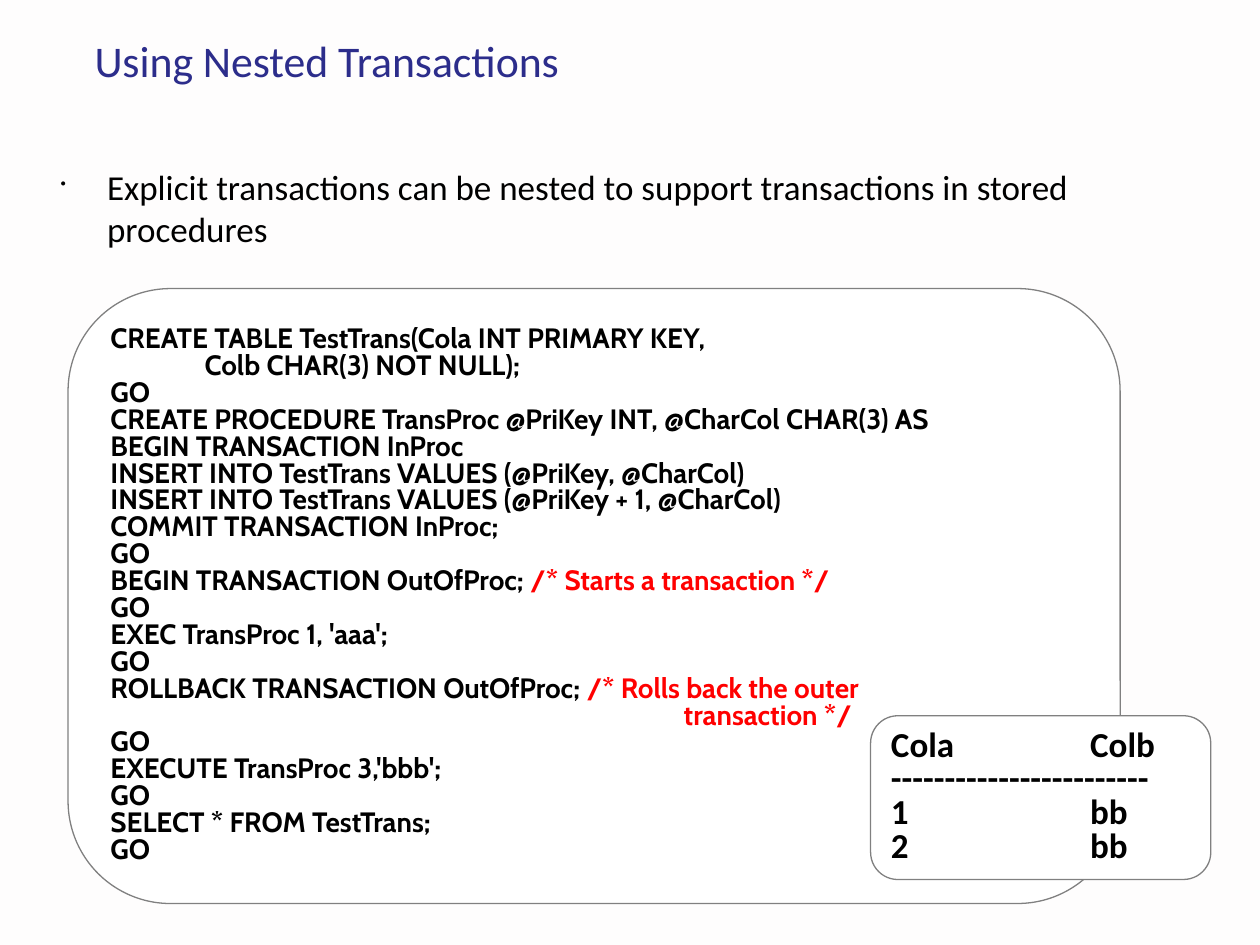
from pptx import Presentation
from pptx.dml.color import RGBColor
from pptx.enum.shapes import MSO_SHAPE as Shape
from pptx.enum.text import MSO_ANCHOR as Anchor, PP_ALIGN as Align
from pptx.oxml.xmlchemy import OxmlElement
from pptx.util import Pt

COLORS = {
    "background": "FEFDFD",
    "title": "2C2D8B",
    "text": "000000",
    "comment": "FF0000",
    "panel": "FFFFFF",
    "outline": "808080",
}

# Each line holds its code and its comment.
CODE_LINES = [
    ("CREATE TABLE TestTrans(Cola INT PRIMARY KEY,", ""),
    ("               Colb CHAR(3) NOT NULL);", ""),
    ("GO", ""),
    ("CREATE PROCEDURE TransProc @PriKey INT, @CharCol CHAR(3) AS", ""),
    ("BEGIN TRANSACTION InProc", ""),
    ("INSERT INTO TestTrans VALUES (@PriKey, @CharCol)", ""),
    ("INSERT INTO TestTrans VALUES (@PriKey + 1, @CharCol)", ""),
    ("COMMIT TRANSACTION InProc;", ""),
    ("GO", ""),
    ("BEGIN TRANSACTION OutOfProc; ", "/* Starts a transaction */"),
    ("GO", ""),
    ("EXEC TransProc 1, 'aaa';", ""),
    ("GO", ""),
    ("ROLLBACK TRANSACTION OutOfProc; ", "/* Rolls back the outer"),
    ("", "\t transaction */"),
    ("GO", ""),
    ("EXECUTE TransProc 3,'bbb';", ""),
    ("GO", ""),
    ("SELECT * FROM TestTrans;", ""),
    ("GO", ""),
]
RESULT_LINES = [
    (line, "") for line in ("Cola\tColb", "-" * 24, "1\tbb", "2\tbb")
]


def color(name):
    return RGBColor.from_string(COLORS[name])


def set_font(paragraph, name, size, color_name, bold=False):
    font = paragraph.font
    font.name = name
    font.size = Pt(size)
    font.bold = bold
    font.color.rgb = color(color_name)


def add_element(parent, tag, **attributes):
    element = OxmlElement(tag)
    for key, value in attributes.items():
        element.set(key, str(value))
    parent.append(element)
    return element


def add_tab_stop(paragraph, position):
    tabs = add_element(paragraph._p.get_or_add_pPr(), "a:tabLst")
    add_element(tabs, "a:tab", pos=Pt(position), algn="l")


def add_bullet(paragraph, indent, percent):
    properties = paragraph._p.get_or_add_pPr()
    properties.set("marL", str(Pt(indent)))
    properties.set("indent", str(-Pt(indent)))
    add_element(properties, "a:buSzPct", val=percent * 1000)
    add_element(properties, "a:buChar", char="•")


def add_text(slide, box, text):
    """Add a text box without margins and return its paragraph."""
    frame = slide.shapes.add_textbox(*map(Pt, box)).text_frame
    frame.word_wrap = True
    frame.margin_left = frame.margin_right = Pt(0)
    frame.margin_top = frame.margin_bottom = Pt(0)
    paragraph = frame.paragraphs[0]
    paragraph.text = text
    return paragraph


def add_panel(slide, box, lines, font_name, size, tab_stop):
    """Add a rounded panel of bold lines, with comments in their own colour."""
    panel = slide.shapes.add_shape(Shape.ROUNDED_RECTANGLE, *map(Pt, box))
    panel.shadow.inherit = False
    panel.fill.solid()
    panel.fill.fore_color.rgb = color("panel")
    panel.line.color.rgb = color("outline")
    panel.line.width = Pt(0.75)
    frame = panel.text_frame
    frame.word_wrap = True
    frame.vertical_anchor = Anchor.MIDDLE
    for index, (code, comment) in enumerate(lines):
        paragraph = frame.add_paragraph() if index else frame.paragraphs[0]
        paragraph.alignment = Align.LEFT
        paragraph.line_spacing = 0.8
        add_tab_stop(paragraph, tab_stop)
        set_font(paragraph, font_name, size, "text", bold=True)
        if code:
            paragraph.add_run().text = code
        if comment:
            run = paragraph.add_run()
            run.text = comment
            run.font.color.rgb = color("comment")


def main():
    presentation = Presentation()
    presentation.slide_width, presentation.slide_height = Pt(720), Pt(540)
    slide = presentation.slides.add_slide(presentation.slide_layouts[6])
    slide.background.fill.solid()
    slide.background.fill.fore_color.rgb = color("background")

    add_panel(slide, (38.9, 164.9, 601.2, 351.4), CODE_LINES, "Cabin", 16, 324)
    add_panel(slide, (497.5, 409, 194.4, 93.6), RESULT_LINES, "Calibri", 20, 113.8)

    title = add_text(slide, (54, 19.4, 447, 30.2), "Using Nested Transactions")
    set_font(title, "Calibri", 25, "title")

    body = add_text(
        slide,
        (34.6, 94.3, 648, 28.8),
        "Explicit transactions can be nested to support transactions "
        "in stored procedures",
    )
    add_bullet(body, 26.6, 45)
    set_font(body, "Calibri", 20, "text")

    presentation.save("out.pptx")


if __name__ == "__main__":
    main()
